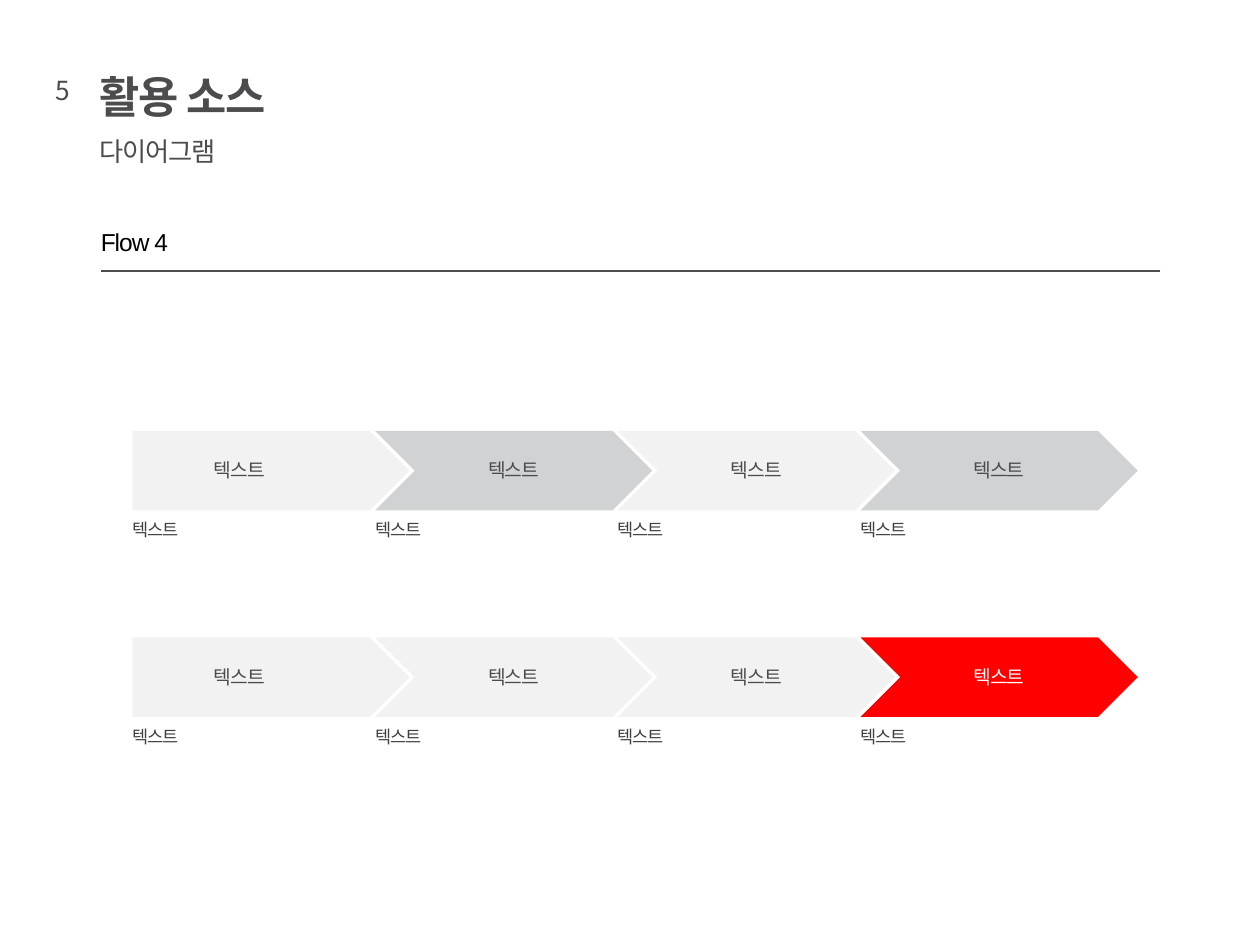
from dataclasses import dataclass

from pptx import Presentation
from pptx.dml.color import RGBColor
from pptx.enum import shapes, text
from pptx.oxml import ns
from pptx.util import Inches, Pt
from lxml import etree


@dataclass(frozen=True)
class Theme:
    ink: str = "4C4C4E"
    caption_ink: str = "404040"
    black: str = "000000"
    white: str = "FFFFFF"
    pale: str = "F2F2F2"
    gray: str = "D1D2D4"
    accent: str = "FF0000"
    heading_font: str = "Noto Sans CJK KR"
    body_font: str = "Arial"
    title_size: int = 25
    subtitle_size: int = 15
    section_size: int = 14
    label_size: int = 11
    caption_size: int = 10
    tracking: float = -0.6


THEME = Theme()


def add_text(slide, box, content, size, color=THEME.ink, font=THEME.body_font,
             bold=False, tracking=THEME.tracking, line_spacing=1.0,
             align=text.PP_ALIGN.LEFT, wrap=True, top_inset=0):
    frame = slide.shapes.add_textbox(*map(Inches, box)).text_frame
    frame.margin_left = frame.margin_right = frame.margin_bottom = 0
    frame.margin_top = Inches(top_inset)
    frame.word_wrap = wrap
    paragraph = frame.paragraphs[0]
    paragraph.alignment = align
    paragraph.line_spacing = line_spacing
    run = paragraph.add_run()
    run.text = content
    run.font.size = Pt(size)
    run.font.bold = bold
    run.font.color.rgb = RGBColor.from_string(color)
    run.font.name = font
    properties = run.font._element
    properties.set("spc", str(round(tracking * 100)))
    east_asian = etree.SubElement(properties, ns.qn("a:ea"))
    east_asian.set("typeface", THEME.heading_font)


def add_header(slide, box, number, title, subtitle):
    left, top, width, height = box
    number_width = 0.35
    title_left, title_width = left + number_width, width - number_width
    heading = dict(font=THEME.heading_font, line_spacing=0.9)
    add_text(slide, (title_left, top, title_width, 0.48), title,
             THEME.title_size, bold=True, **heading)
    add_text(slide, (title_left, top + 0.5, title_width, height - 0.5), subtitle,
             THEME.subtitle_size, **heading)
    add_text(slide, (left, top, number_width, 0.48), number,
             THEME.subtitle_size, tracking=0, top_inset=0.02, **heading)


def add_section(slide, box, name):
    left, top, width, height = box
    add_text(slide, (left, top, 4.38, 0.24), name, THEME.section_size, THEME.black)
    bottom = Inches(top + height)
    rule = slide.shapes.add_connector(
        shapes.MSO_CONNECTOR.STRAIGHT, Inches(left + width), bottom, Inches(left), bottom)
    rule.line.color.rgb = RGBColor.from_string(THEME.ink)
    rule.line.width = Pt(1)
    etree.SubElement(rule._element.spPr, ns.qn("a:effectLst"))


def add_flow(slide, box, steps):
    left, top, width, height = box
    step_width, arrow_height = 2.2, 0.63
    label_width, label_height = 0.46, 0.19
    caption_height = 0.17
    pitch = (width - step_width) / (len(steps) - 1)
    for index, (label, caption, fill, label_color) in enumerate(steps):
        step_left = left + index * pitch
        kind = shapes.MSO_SHAPE.CHEVRON if index else shapes.MSO_SHAPE.PENTAGON
        arrow = slide.shapes.add_shape(
            kind, *map(Inches, (step_left, top, step_width, arrow_height)))
        arrow.shadow.inherit = False
        arrow.fill.solid()
        arrow.fill.fore_color.rgb = RGBColor.from_string(fill)
        arrow.line.fill.background()
        label_left = step_left + (0.87 if index else 0.62)
        label_top = top + (arrow_height - label_height) / 2
        add_text(slide, (label_left, label_top, label_width, label_height), label,
                 THEME.label_size, label_color, align=text.PP_ALIGN.CENTER, wrap=False)
        add_text(slide, (step_left, top + height - caption_height, 0.42, caption_height),
                 caption, THEME.caption_size, THEME.caption_ink, wrap=False)


def main():
    deck = Presentation()
    deck.slide_width, deck.slide_height = Inches(10), Inches(7.5)
    slide = deck.slides.add_slide(deck.slide_layouts[6])
    add_header(slide, (0.44, 0.6, 8.78, 0.86), "5", "활용 소스", "다이어그램")
    add_section(slide, (0.8, 1.8, 8.41, 0.35), "Flow 4")

    plain = ("텍스트", "텍스트", THEME.pale, THEME.ink)
    shaded = ("텍스트", "텍스트", THEME.gray, THEME.ink)
    highlighted = ("텍스트", "텍스트", THEME.accent, THEME.white)
    flows = {
        3.42: [plain, shaded, plain, shaded],
        5.06: [plain, plain, plain, highlighted],
    }
    for top, steps in flows.items():
        add_flow(slide, (1.05, top, 7.98, 0.87), steps)
    deck.save("out.pptx")


if __name__ == "__main__":
    main()
